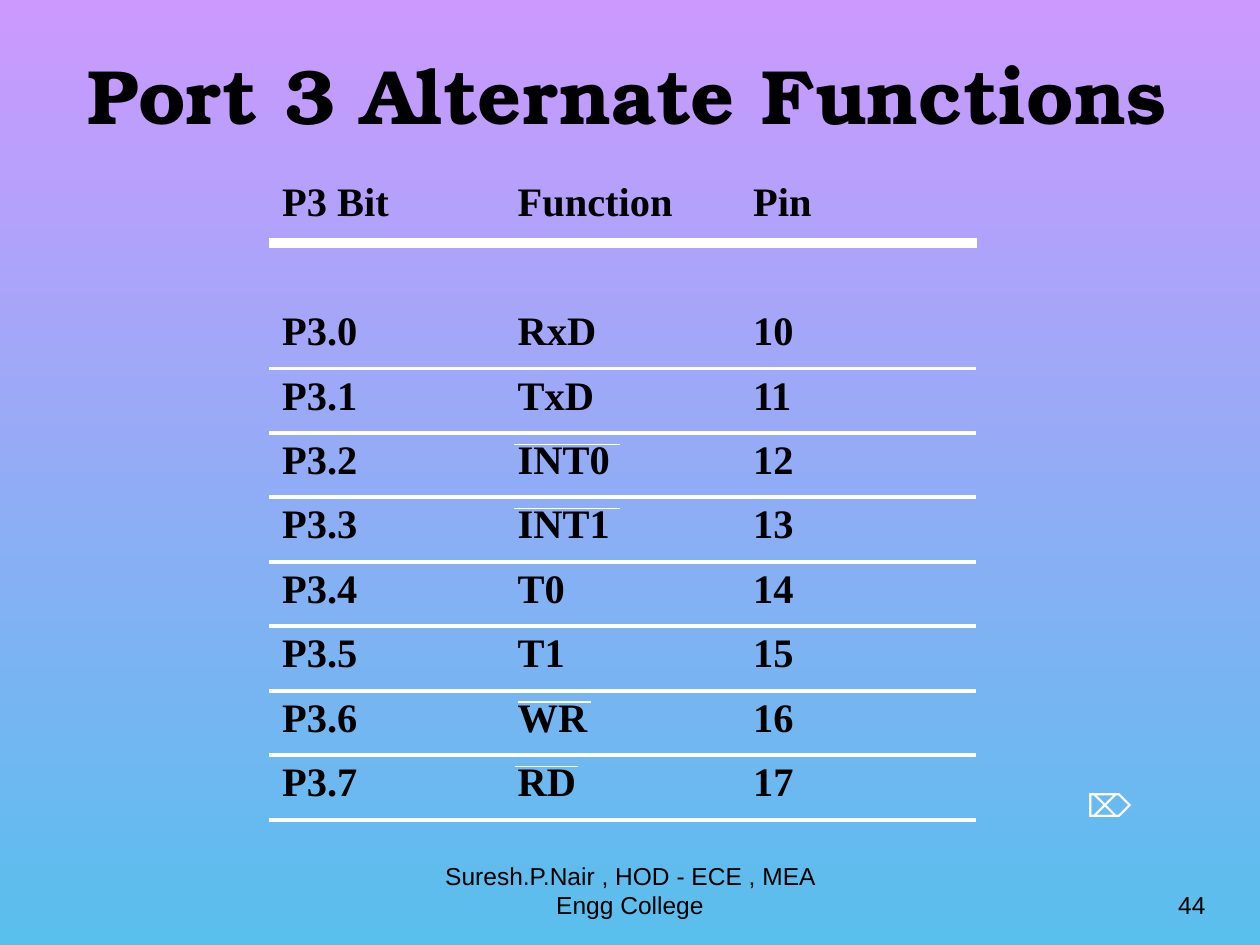
from lxml.etree import SubElement
from pptx import Presentation
from pptx.dml.color import RGBColor
from pptx.enum.shapes import MSO_CONNECTOR as Connector
from pptx.enum.text import MSO_ANCHOR as Anchor, MSO_AUTO_SIZE as AutoSize, PP_ALIGN as Align
from pptx.oxml.ns import qn
from pptx.util import Pt

BLACK = RGBColor(0x00, 0x00, 0x00)
WHITE = RGBColor(0xFF, 0xFF, 0xFF)
LILAC = RGBColor(0xCC, 0x99, 0xFF)
SKY = RGBColor(0x59, 0xBF, 0xED)

TITLE = "Port 3 Alternate Functions"
FOOTER = "Suresh.P.Nair , HOD - ECE , MEA Engg College"
PAGE = "44"
SYMBOL = "⌦"
HEADER = ("P3 Bit", "Function", "Pin")
FUNCTIONS = ("RxD", "TxD", "INT0", "INT1", "T0", "T1", "WR", "RD")
OVERLINES = {"INT0": (293.76, 354.24), "INT1": (293.76, 354.24),
             "WR": (295.92, 337.68), "RD": (294.48, 330.48)}

FIRST_BIT_PIN = 10
FIRST_BIT_ROW = 2
TABLE_LEFT, TABLE_TOP = 154, 100.08
COLUMN_WIDTH, ROW_HEIGHT = 134.6, 36.84
TABLE_RIGHT = TABLE_LEFT + COLUMN_WIDTH * len(HEADER)
HEADER_RULE_Y = 138.96
OVERLINE_DROP = 6.4


def write(frame, text, font="Arial", size=14, color=BLACK, bold=False,
          align=Align.LEFT, anchor=Anchor.TOP, wrap=True, spacing=None):
    frame.word_wrap = wrap
    frame.vertical_anchor = anchor
    paragraph = frame.paragraphs[0]
    paragraph.alignment = align
    paragraph.line_spacing = spacing
    run = paragraph.add_run()
    run.text = text
    run.font.name = font
    run.font.size = Pt(size)
    run.font.bold = bold
    run.font.color.rgb = color


def add_text(slide, text, left, top, width, height, **style):
    box = slide.shapes.add_textbox(Pt(left), Pt(top), Pt(width), Pt(height))
    write(box.text_frame, text, **style)


def add_rule(slide, start, end, y, width):
    rule = slide.shapes.add_connector(Connector.STRAIGHT, Pt(start), Pt(y), Pt(end), Pt(y))
    rule.line.color.rgb = WHITE
    rule.line.width = Pt(width)
    SubElement(rule._element.spPr, qn("a:effectLst"))


def clear_borders(cell):
    properties = cell._tc.get_or_add_tcPr()
    for place, side in enumerate(("lnL", "lnR", "lnT", "lnB")):
        border = SubElement(properties, qn(f"a:{side}"))
        SubElement(border, qn("a:noFill"))
        properties.insert(place, border)


def add_port_table(slide):
    bits = [(f"P3.{bit}", function, str(FIRST_BIT_PIN + bit))
            for bit, function in enumerate(FUNCTIONS)]
    rows = [HEADER, ("", "", "")] + bits
    table = slide.shapes.add_table(
        len(rows), len(HEADER), Pt(TABLE_LEFT), Pt(TABLE_TOP),
        Pt(TABLE_RIGHT - TABLE_LEFT), Pt(ROW_HEIGHT * len(rows))).table
    table.first_row = table.horz_banding = False
    for column in table.columns:
        column.width = Pt(COLUMN_WIDTH)
    for row, values in zip(table.rows, rows):
        row.height = Pt(ROW_HEIGHT)
        for cell, value in zip(row.cells, values):
            cell.fill.background()
            cell.margin_top = Pt(5.3)
            clear_borders(cell)
            if value:
                write(cell.text_frame, value, font="Times New Roman",
                      size=23.1, bold=True, spacing=0.9)


def add_rules(slide):
    add_rule(slide, TABLE_LEFT, TABLE_RIGHT + 0.6, HEADER_RULE_Y, 5.5)
    for row, function in enumerate(FUNCTIONS, FIRST_BIT_ROW):
        top = TABLE_TOP + row * ROW_HEIGHT
        add_rule(slide, TABLE_LEFT, TABLE_RIGHT, top + ROW_HEIGHT, 2.25)
        if function in OVERLINES:
            add_rule(slide, *OVERLINES[function], top + OVERLINE_DROP, 0.75)


def main():
    """Build the slide of port 3 alternate functions."""
    deck = Presentation()
    deck.slide_width, deck.slide_height = Pt(720), Pt(540)
    slide = deck.slides.add_slide(deck.slide_layouts[5])

    backdrop = slide.background.fill
    backdrop.gradient()
    backdrop.gradient_angle = 270
    for stop, color, position in zip(backdrop.gradient_stops, (LILAC, SKY), (0, 1)):
        stop.color.rgb = color
        stop.position = position

    title = slide.shapes.title
    title.left, title.top, title.width, title.height = Pt(23.6), Pt(18), Pt(670.32), Pt(71.28)
    title.text_frame.auto_size = AutoSize.NONE
    write(title.text_frame, TITLE, font="TeX Gyre Bonum", size=44, bold=True,
          align=Align.CENTER, anchor=Anchor.MIDDLE)

    add_port_table(slide)
    add_rules(slide)

    add_text(slide, SYMBOL, 614, 445.5, 39.6, 28.8, size=18, color=WHITE, wrap=False)
    add_text(slide, FOOTER, 246, 491.76, 228, 37.44,
             align=Align.CENTER, anchor=Anchor.BOTTOM)
    add_text(slide, PAGE, 516, 491.76, 180, 37.44,
             align=Align.RIGHT, anchor=Anchor.BOTTOM)
    deck.save("out.pptx")


if __name__ == "__main__":
    main()
